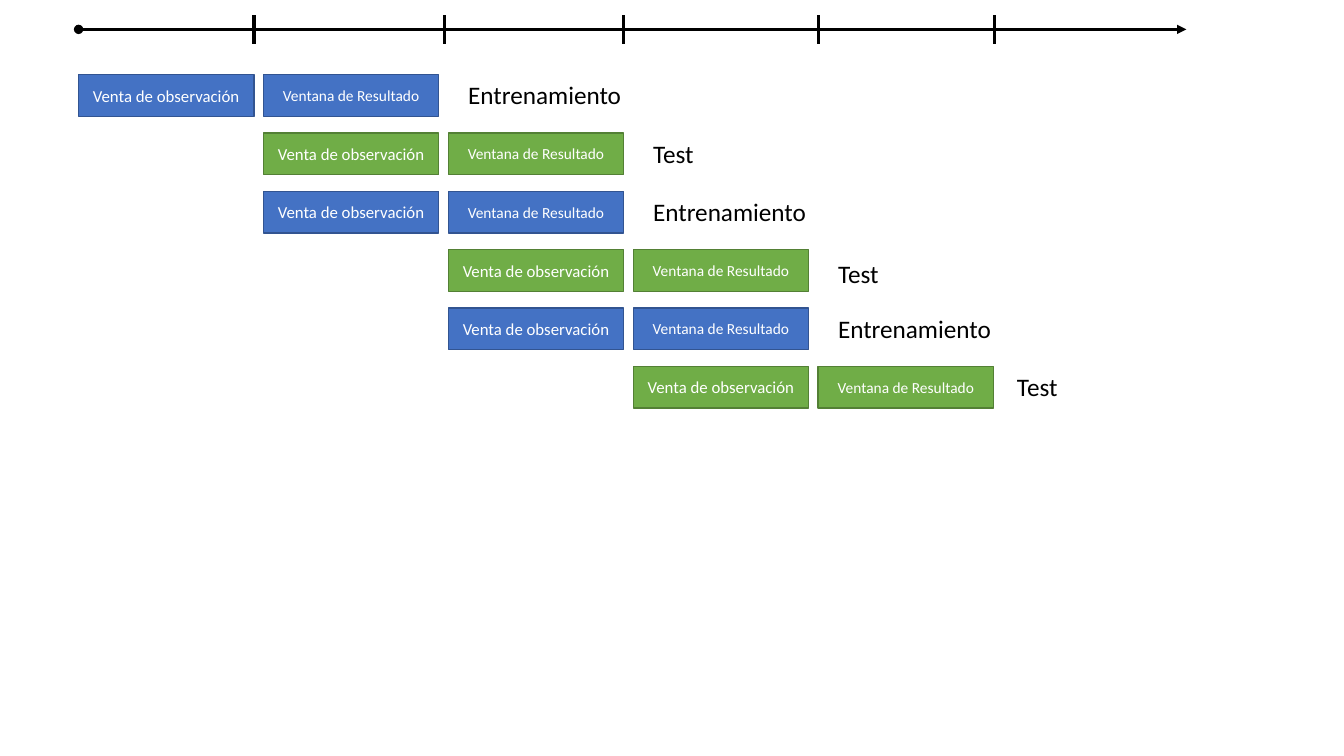
from dataclasses import dataclass

from lxml.etree import SubElement
from pptx import Presentation
from pptx.dml.color import RGBColor
from pptx.enum.shapes import MSO_CONNECTOR as Connector, MSO_SHAPE as Preset
from pptx.enum.text import MSO_ANCHOR as Anchor, MSO_AUTO_SIZE as AutoSize, PP_ALIGN as Align
from pptx.oxml.ns import qn
from pptx.util import Cm, Pt

FONT = "Calibri"
BLACK, WHITE = "000000", "FFFFFF"

# Grid of windows, in centimetres
LEFT, TOP = 1.98, 1.88
COLUMN_STEP, ROW_STEP = 4.66, 1.47
WINDOW_WIDTH, WINDOW_HEIGHT = 4.42, 1.05
LABEL_GAP, LABEL_HEIGHT = 0.25, 1.02

# Timeline, in centimetres
AXIS_Y, AXIS_END = 0.74, 29.9
TICK_HALF = 0.36
TICKS = (6.4, 11.2, 15.72, 20.62, 25.07)


@dataclass(frozen=True)
class Phase:
    label: str
    label_width: float
    fill: str
    outline: str


@dataclass(frozen=True)
class Stage:
    phase: Phase
    column: int
    shift_x: float = 0
    shift_y: float = 0


TRAINING = Phase("Entrenamiento", 5.79, "4472C4", "325491")
TEST = Phase("Test", 1.93, "70AD47", "538035")
STAGES = (
    Stage(TRAINING, 0),
    Stage(TEST, 1),
    Stage(TRAINING, 1),
    Stage(TEST, 2, shift_y=0.1),
    Stage(TRAINING, 2),
    Stage(TEST, 3, shift_x=-0.15),
)
WINDOWS = (("Venta de observación", 12), ("Ventana de Resultado", 11))


def color(code: str) -> RGBColor:
    return RGBColor.from_string(code)


def column_left(column: int) -> float:
    return LEFT + column * COLUMN_STEP


def add_text(box, text: str, size: float, code: str, align: Align) -> None:
    para = box.text_frame.paragraphs[0]
    para.alignment = align
    span = para.add_run()
    span.text = text
    span.font.name = FONT
    span.font.size = Pt(size)
    span.font.color.rgb = color(code)


def add_window(page, column: int, top: float, phase: Phase, text: str, size: float) -> None:
    box = page.shapes.add_shape(Preset.RECTANGLE, Cm(column_left(column)), Cm(top),
                                Cm(WINDOW_WIDTH), Cm(WINDOW_HEIGHT))
    box.shadow.inherit = False
    box.fill.solid()
    box.fill.fore_color.rgb = color(phase.fill)
    box.line.color.rgb = color(phase.outline)
    box.line.width = Pt(1)
    box.text_frame.word_wrap = True
    box.text_frame.vertical_anchor = Anchor.MIDDLE
    add_text(box, text, size, WHITE, Align.CENTER)


def add_label(page, stage: Stage, top: float) -> None:
    left = column_left(stage.column + len(WINDOWS)) + LABEL_GAP + stage.shift_x
    box = page.shapes.add_textbox(Cm(left), Cm(top + stage.shift_y),
                                  Cm(stage.phase.label_width), Cm(LABEL_HEIGHT))
    box.text_frame.word_wrap = True
    box.text_frame.auto_size = AutoSize.SHAPE_TO_FIT_TEXT
    add_text(box, stage.phase.label, 18, BLACK, Align.LEFT)


def add_line(page, x1: float, y1: float, x2: float, y2: float,
             head: str = "none", tail: str = "none") -> None:
    line = page.shapes.add_connector(Connector.STRAIGHT, Cm(x1), Cm(y1), Cm(x2), Cm(y2))
    line.line.color.rgb = color(BLACK)
    line.line.width = Pt(2.25)
    outline = line.line._get_or_add_ln()
    SubElement(outline, qn("a:headEnd"), type=head)
    SubElement(outline, qn("a:tailEnd"), type=tail)
    SubElement(line._element.spPr, qn("a:effectLst"))


deck = Presentation()
deck.slide_width, deck.slide_height = Cm(33.87), Cm(19.05)
page = deck.slides.add_slide(deck.slide_layouts[6])

# Staggered training and test windows
for row, stage in enumerate(STAGES):
    row_top = TOP + row * ROW_STEP
    for offset, (text, size) in enumerate(WINDOWS):
        add_window(page, stage.column + offset, row_top, stage.phase, text, size)
    add_label(page, stage, row_top)

# Timeline with its ticks
add_line(page, LEFT, AXIS_Y, AXIS_END, AXIS_Y, head="oval", tail="triangle")
for tick in TICKS:
    add_line(page, tick, AXIS_Y - TICK_HALF, tick, AXIS_Y + TICK_HALF)

deck.save("out.pptx")
